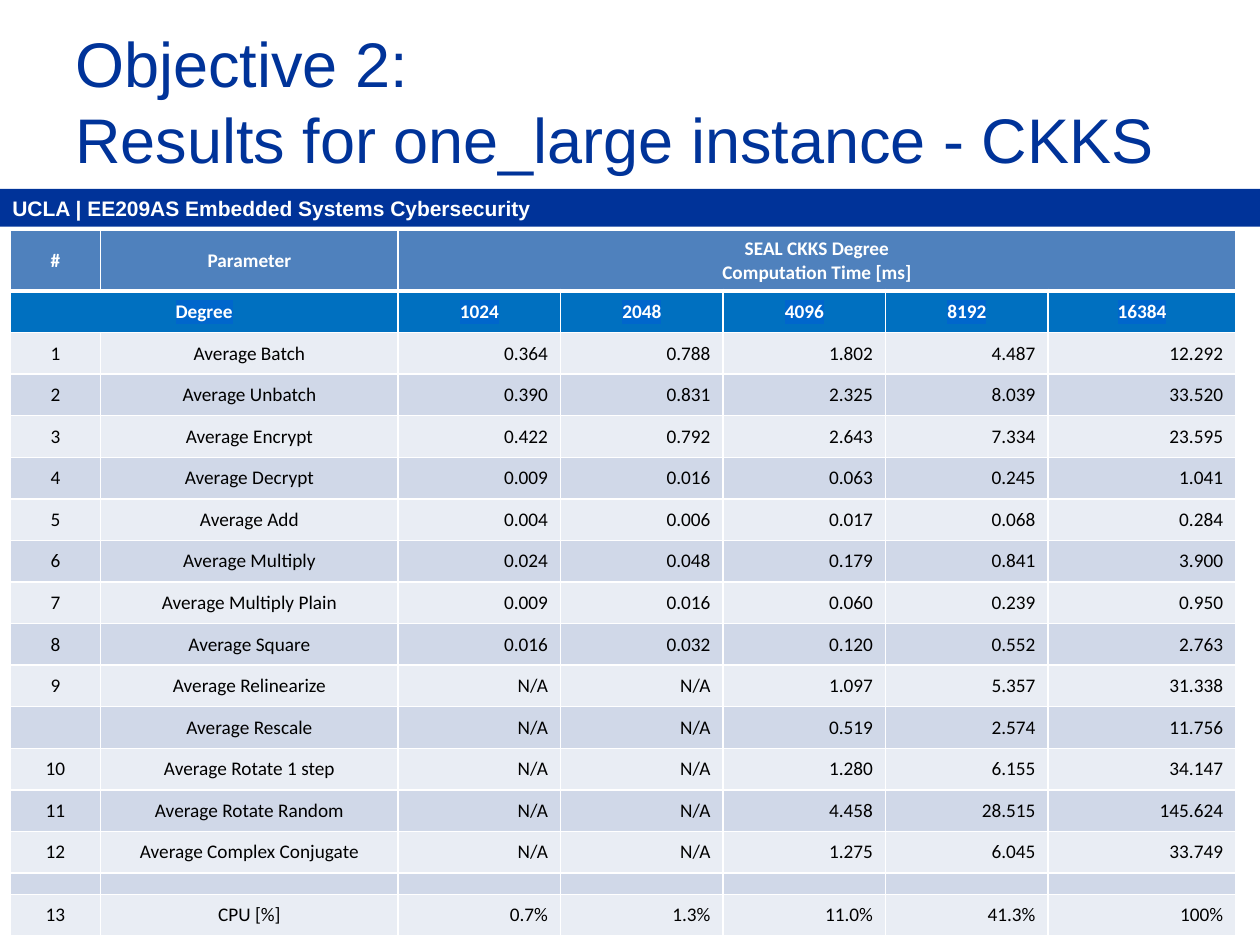
from dataclasses import dataclass

from lxml.etree import SubElement
from pptx import Presentation
from pptx.dml.color import RGBColor
from pptx.enum.shapes import MSO_SHAPE as Shape
from pptx.enum.text import MSO_ANCHOR as Anchor, PP_ALIGN as Align
from pptx.oxml.ns import qn
from pptx.util import Inches, Pt


@dataclass(frozen=True)
class Theme:
    """Colours, fonts and type sizes of the slide."""
    navy: str = "003399"
    white: str = "FFFFFF"
    black: str = "000000"
    header: str = "4F81BD"
    degree: str = "0070C0"
    highlight: str = "0066CC"
    bands: tuple = ("E9EDF4", "D0D8E8")
    text_font: str = "Arial"
    table_font: str = "Calibri"
    title_size: int = 36
    bar_size: int = 12
    table_size: int = 11
    spacer_size: int = 6


THEME = Theme()
TITLE = "Objective 2: \vResults for one_large instance - CKKS"
COURSE = "UCLA | EE209AS Embedded Systems Cybersecurity"
COLUMN_WIDTHS = (0.72, 2.36, 1.29, 1.29, 1.29, 1.29, 1.49)
HEADER_HEIGHT, ROW_HEIGHT, SPACER_HEIGHT = 0.48, 0.33, 0.17
HEADER_ROW = ("#", "Parameter", "SEAL CKKS Degree\nComputation Time [ms]", "", "", "", "")
DEGREE_ROW = ("Degree", "", "1024", "2048", "4096", "8192", "16384")
SPACER_ROW = ("",) * len(COLUMN_WIDTHS)
RESULT_ROWS = (
    ("1", "Average Batch", "0.364", "0.788", "1.802", "4.487", "12.292"),
    ("2", "Average Unbatch", "0.390", "0.831", "2.325", "8.039", "33.520"),
    ("3", "Average Encrypt", "0.422", "0.792", "2.643", "7.334", "23.595"),
    ("4", "Average Decrypt", "0.009", "0.016", "0.063", "0.245", "1.041"),
    ("5", "Average Add", "0.004", "0.006", "0.017", "0.068", "0.284"),
    ("6", "Average Multiply", "0.024", "0.048", "0.179", "0.841", "3.900"),
    ("7", "Average Multiply Plain", "0.009", "0.016", "0.060", "0.239", "0.950"),
    ("8", "Average Square", "0.016", "0.032", "0.120", "0.552", "2.763"),
    ("9", "Average Relinearize", "N/A", "N/A", "1.097", "5.357", "31.338"),
    ("", "Average Rescale", "N/A", "N/A", "0.519", "2.574", "11.756"),
    ("10", "Average Rotate 1 step", "N/A", "N/A", "1.280", "6.155", "34.147"),
    ("11", "Average Rotate Random", "N/A", "N/A", "4.458", "28.515", "145.624"),
    ("12", "Average Complex Conjugate", "N/A", "N/A", "1.275", "6.045", "33.749"),
    SPACER_ROW,
    ("13", "CPU [%]", "0.7%", "1.3%", "11.0%", "41.3%", "100%"),
)


def set_attributes(target, values):
    """Set each named attribute on the target."""
    for name, value in values.items():
        setattr(target, name, value)


def paint(fill, colour):
    """Give a fill one solid colour."""
    fill.solid()
    fill.fore_color.rgb = RGBColor.from_string(colour)


def style_text(text_frame, colour, alignment=Align.LEFT, **font_values):
    """Align every paragraph and format every run."""
    for paragraph in text_frame.paragraphs:
        paragraph.alignment = alignment
        for run in paragraph.runs:
            set_attributes(run.font, font_values)
            run.font.color.rgb = RGBColor.from_string(colour)


def add_title(slide, box):
    """Place the two-line title in the box."""
    text_frame = slide.shapes.add_textbox(*map(Inches, box)).text_frame
    set_attributes(text_frame, {"word_wrap": True, "vertical_anchor": Anchor.MIDDLE})
    text_frame.paragraphs[0].text = TITLE
    style_text(text_frame, THEME.navy, name=THEME.text_font, size=Pt(THEME.title_size))


def add_course_bar(slide, box):
    """Place the course name on a full-width bar."""
    bar = slide.shapes.add_shape(Shape.RECTANGLE, *map(Inches, box))
    bar.shadow.inherit = False
    paint(bar.fill, THEME.navy)
    bar.line.fill.background()
    set_attributes(bar.text_frame, {"word_wrap": True, "vertical_anchor": Anchor.MIDDLE})
    bar.text_frame.text = COURSE
    style_text(bar.text_frame, THEME.white, name=THEME.text_font,
               size=Pt(THEME.bar_size), bold=True)


def add_borders(cell, top=1, bottom=1):
    """Draw white borders of the given point widths around a cell."""
    properties = cell._tc.get_or_add_tcPr()
    widths = {"a:lnL": 1, "a:lnR": 1, "a:lnT": top, "a:lnB": bottom}
    for position, (tag, width) in enumerate(widths.items()):
        line = SubElement(properties, qn(tag), w=str(Pt(width)))
        SubElement(SubElement(line, qn("a:solidFill")), qn("a:srgbClr"), val=THEME.white)
        properties.insert(position, line)


def add_highlight(text_frame):
    """Mark the runs with the highlight colour."""
    for run in text_frame.paragraphs[0].runs:
        properties = run.font._element
        highlight = SubElement(properties, qn("a:highlight"))
        SubElement(highlight, qn("a:srgbClr"), val=THEME.highlight)
        properties.find(qn("a:solidFill")).addnext(highlight)


def fill_cell(cell, text, fill, colour, alignment, bold=False):
    """Write and format one table cell."""
    cell.vertical_anchor = Anchor.MIDDLE
    paint(cell.fill, fill)
    if text:
        cell.text = text
        style_text(cell.text_frame, colour, alignment, name=THEME.table_font,
                   size=Pt(THEME.table_size), bold=bold)
    else:
        set_attributes(cell, {"margin_top": 0, "margin_bottom": 0})
        SubElement(cell.text_frame.paragraphs[0]._p, qn("a:endParaRPr"),
                   sz=str(THEME.spacer_size * 100))


def add_results_table(slide, box):
    """Place the timing table, with two heading rows above banded results."""
    rows = (HEADER_ROW, DEGREE_ROW, *RESULT_ROWS)
    frame = slide.shapes.add_table(len(rows), len(COLUMN_WIDTHS), *map(Inches, box))
    table = frame.table
    set_attributes(table, {"first_row": False, "horz_banding": False})
    for column, width in zip(table.columns, COLUMN_WIDTHS):
        column.width = Inches(width)
    heights = {HEADER_ROW: HEADER_HEIGHT, SPACER_ROW: SPACER_HEIGHT}
    for row_index, row in enumerate(rows):
        table.rows[row_index].height = Inches(heights.get(row, ROW_HEIGHT))
        heading = row_index < 2
        fill = (THEME.header, THEME.degree)[row_index] if heading else THEME.bands[row_index % 2]
        colour = THEME.white if heading else THEME.black
        for column_index, text in enumerate(row):
            cell = table.cell(row_index, column_index)
            centred = heading or column_index < 2
            fill_cell(cell, text, fill, colour, Align.CENTER if centred else Align.RIGHT, heading)
            add_borders(cell, top=3 if row_index == 1 else 1, bottom=3 if row_index == 0 else 1)
            if row is DEGREE_ROW:
                add_highlight(cell.text_frame)
    table.cell(0, 2).merge(table.cell(0, 6))
    table.cell(1, 0).merge(table.cell(1, 1))


def main():
    """Build and save the slide."""
    presentation = Presentation()
    set_attributes(presentation, {"slide_width": Inches(10), "slide_height": Inches(7.5)})
    slide = presentation.slides.add_slide(presentation.slide_layouts[6])
    add_course_bar(slide, (0, 1.5, 10, 0.3))
    add_title(slide, (0.5, 0.17, 9, 1.25))
    add_results_table(slide, (0.08, 1.83, 9.75, 5.58))
    presentation.save("out.pptx")


if __name__ == "__main__":
    main()
